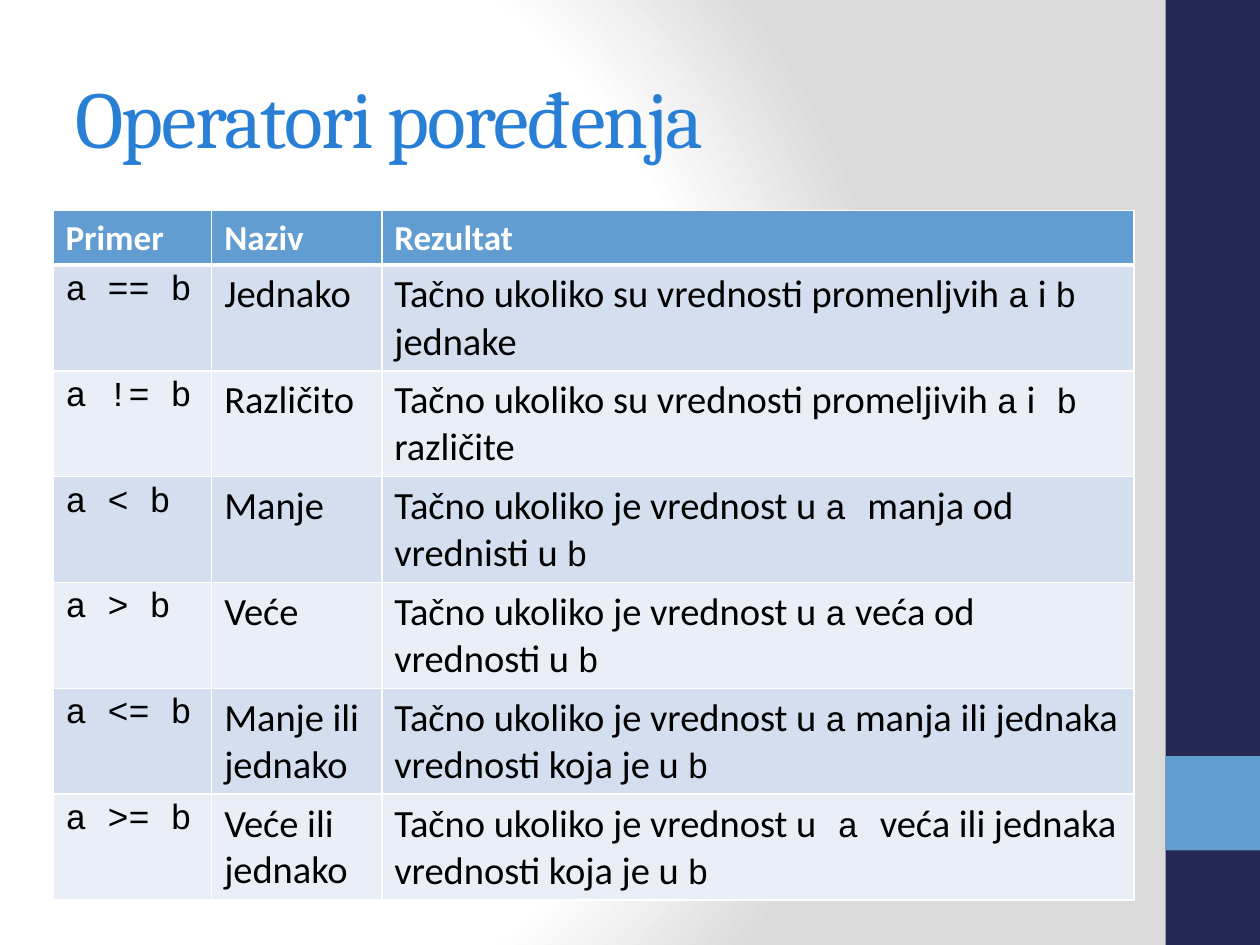
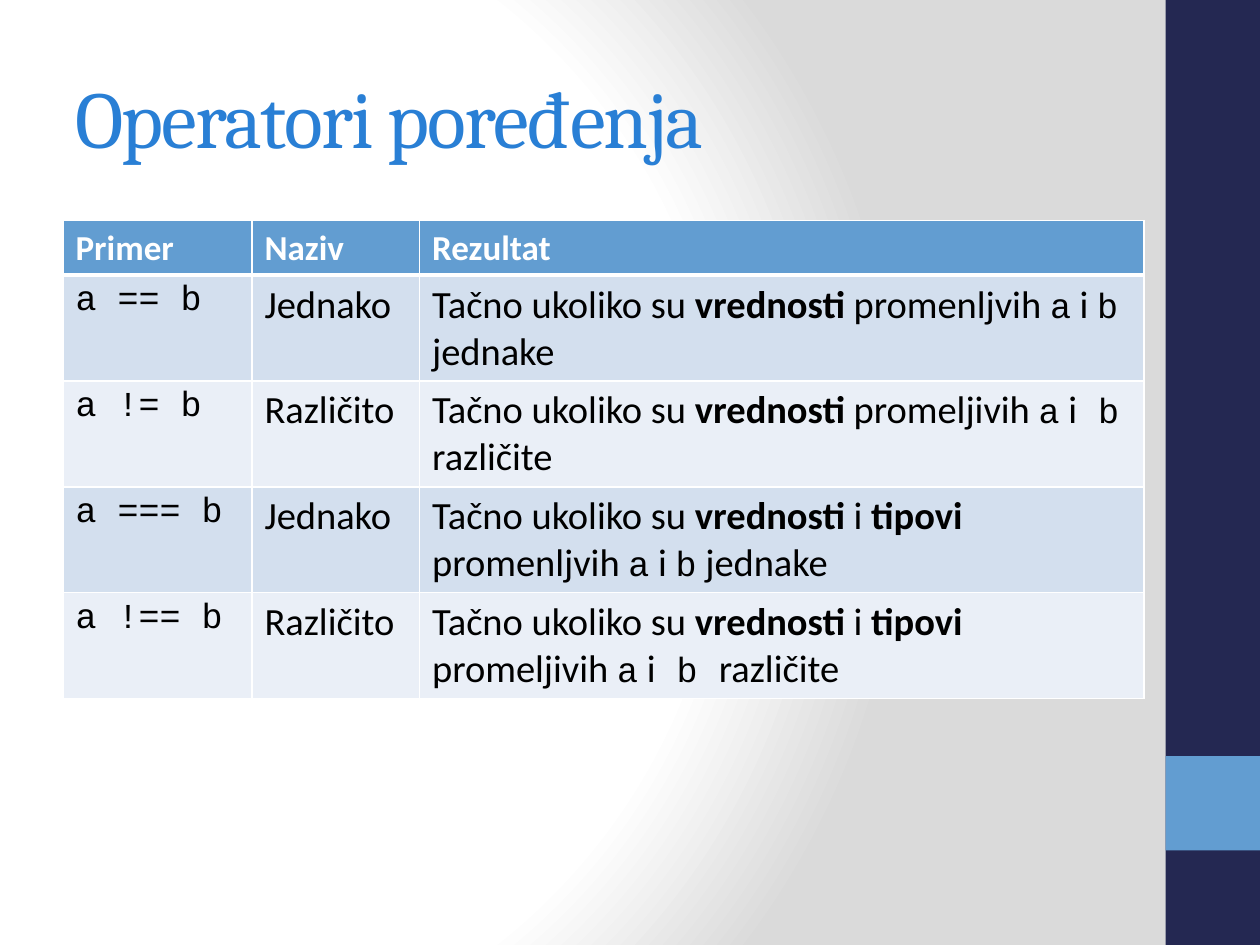
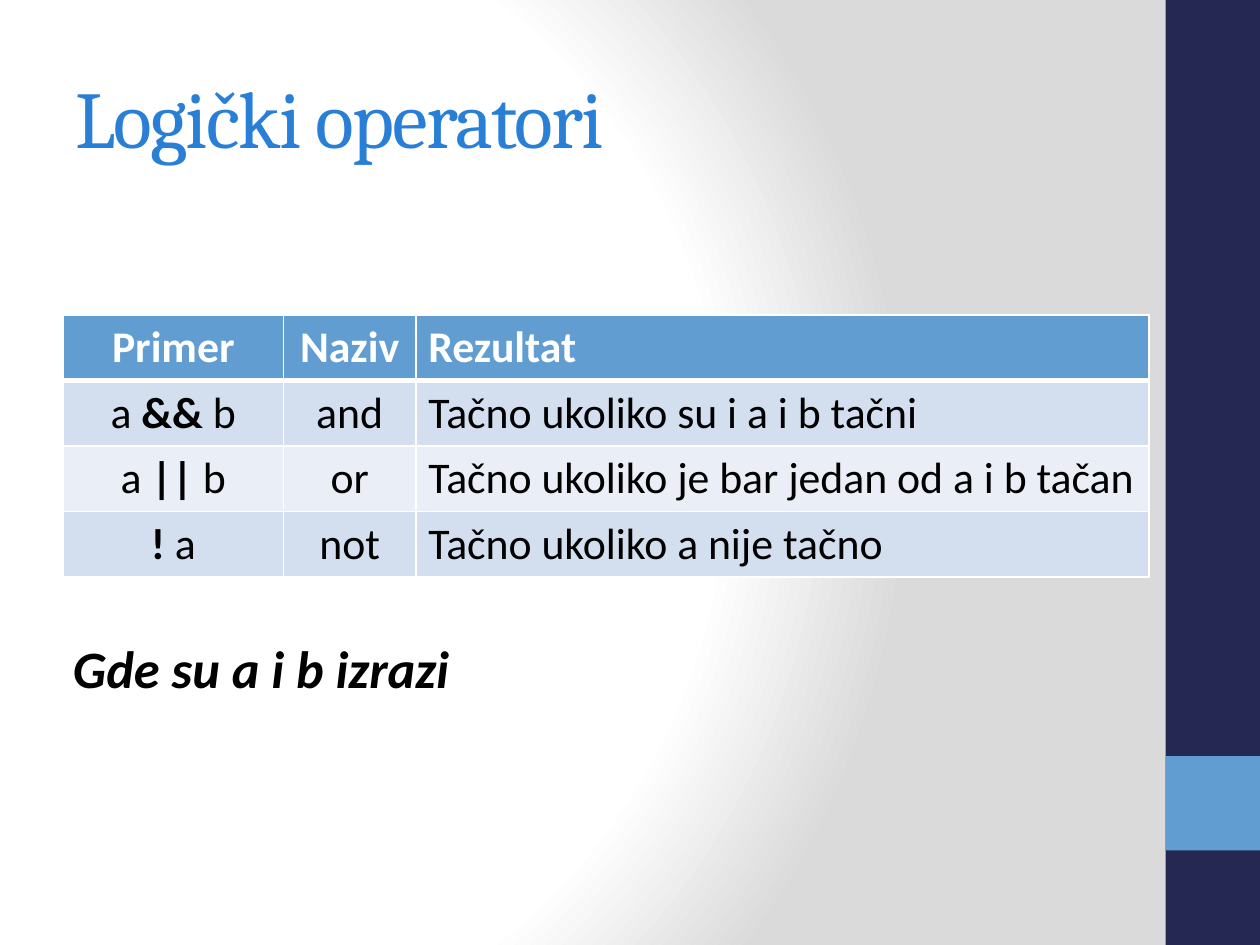
"""Builds three slides on comparison and logical operators."""
from pptx import Presentation, oxml, util as u
from pptx.dml.color import RGBColor
from pptx.enum import shapes, text

NS = 'xmlns:a="http://schemas.openxmlformats.org/drawingml/2006/main"'
PNS = 'xmlns:p="http://schemas.openxmlformats.org/presentationml/2006/main"'
NAVY, BLUE, AZURE = "242852", "629DD1", "297FD5"
WHITE, BLACK, GRAY = "FFFFFF", "000000", "DADADA"
STRIPES = "D3DFEE", "EAEFF7"
BANDS = [(0, 7.5, NAVY), (6, 0.75, BLUE)]
STOPS = [(0, WHITE), (75, WHITE), (100, GRAY)]
HEAD = "Primer", "Naziv", "Rezultat"

# Within cells, `...` marks code and *...* marks bold.
SLIDES = [
    dict(title="Operatori poređenja", at=(0.42, 1.67), cols=(1.26, 1.35, 5.97),
         tall=(0.43, 0.84), sizes=(20, 22), mid=0, rows=[
        ("`a == b`", "Jednako", "Tačno ukoliko su vrednosti promenljvih `a` i `b` jednake"),
        ("`a != b`", "Različito", "Tačno ukoliko su vrednosti promeljivih `a` i` b `različite"),
        ("`a < b`", "Manje", "Tačno ukoliko je vrednost u `a `manja od vrednisti u `b`"),
        ("`a > b`", "Veće", "Tačno ukoliko je vrednost u `a` veća od vrednosti u `b`"),
        ("`a <= b`", "Manje ili jednako",
         "Tačno ukoliko je vrednost u `a` manja ili jednaka vrednosti koja je u `b`"),
        ("`a >= b`", "Veće ili jednako",
         "Tačno ukoliko je vrednost u` a `veća ili jednaka vrednosti koja je u `b`")]),
    dict(title="Operatori poređenja", at=(0.5, 1.75), cols=(1.5, 1.33, 5.75),
         tall=(0.43, 0.84), sizes=(20, 22), mid=0, rows=[
        ("`a == b`", "Jednako", "Tačno ukoliko su *vrednosti *promenljvih `a` i `b` jednake"),
        ("`a != b`", "Različito", "Tačno ukoliko su *vrednosti *promeljivih `a` i` b `različite"),
        ("`a === b`", "Jednako",
         "Tačno ukoliko su *vrednosti *i *tipovi *promenljvih `a` i `b` jednake"),
        ("`a !== b`", "Različito",
         "Tačno ukoliko su *vrednosti *i *tipovi *promeljivih `a` i` b `različite")]),
    dict(title="Logički operatori", at=(0.5, 2.5), cols=(1.75, 1.05, 5.82),
         tall=(0.52, 0.52), sizes=(25, 25), mid=2, note="Gde su a i b izrazi", rows=[
        ("a *&&* b", "and", "Tačno ukoliko su i a i b tačni"),
        ("a *||* b", "or", "Tačno ukoliko je bar jedan od a i b tačan"),
        ("*! *a", "not", "Tačno ukoliko a nije tačno")]),
]


def paint(fill, color):
    fill.solid()
    fill.fore_color.rgb = RGBColor.from_string(color)


def write(para, words, size, color, face="Calibri", bold=False):
    run = para.add_run()
    run.text = words
    font = run.font
    font.size, font.name, font.bold = u.Pt(size), face, bold
    font.color.rgb = RGBColor.from_string(color)
    return run


def mark(para, words, size):
    for i, part in enumerate(words.split("`")):
        for j, bit in enumerate(part.split("*")):
            if bit and i % 2:
                write(para, bit, 20, BLACK, "Courier New")
            elif bit:
                write(para, bit, size, BLACK, bold=j % 2 == 1)


def edge(cell, row):
    props = cell._tc.get_or_add_tcPr()
    thick = {"T": 3 if row == 1 else 1, "B": 3 if row == 0 else 1}
    for side in "LRTB":
        props.append(oxml.parse_xml(
            f'<a:ln{side} {NS} w="{12700 * thick.get(side, 1)}"><a:solidFill>'
            f'<a:srgbClr val="{WHITE}"/></a:solidFill></a:ln{side}>'))


def base(slide, title):
    stops = "".join(f'<a:gs pos="{pos * 1000}"><a:srgbClr val="{color}"/></a:gs>'
                    for pos, color in STOPS)
    slide.element.cSld.insert(0, oxml.parse_xml(
        f'<p:bg {PNS} {NS}><p:bgPr><a:gradFill rotWithShape="1"><a:gsLst>{stops}</a:gsLst>'
        '<a:path path="circle"><a:fillToRect l="20000" t="50000" r="100000" b="50000"/>'
        '</a:path></a:gradFill><a:effectLst/></p:bgPr></p:bg>'))
    for top, high, color in BANDS:
        band = slide.shapes.add_shape(shapes.MSO_SHAPE.RECTANGLE, u.Inches(9.25),
                                      u.Inches(top), u.Inches(0.75), u.Inches(high))
        band.shadow.inherit = False
        paint(band.fill, color)
        band.line.fill.background()
    frame = label(slide, 0.5, 0.3, 8.33, 1.25)
    frame.word_wrap = True
    frame.vertical_anchor = text.MSO_ANCHOR.MIDDLE
    run = write(frame.paragraphs[0], title, 46, AZURE, "Cambria")
    run._r.get_or_add_rPr().set("spc", "-100")


def label(slide, *box):
    return slide.shapes.add_textbox(*map(u.Inches, box)).text_frame


def grid(slide, at, cols, tall, sizes, mid, rows):
    first, rest = tall
    box = *at, sum(cols), first + rest * len(rows)
    table = slide.shapes.add_table(len(rows) + 1, len(cols), *map(u.Inches, box)).table
    for col, wide in zip(table.columns, cols):
        col.width = u.Inches(wide)
    for r, line in enumerate([HEAD, *rows]):
        table.rows[r].height = u.Inches(rest if r else first)
        for c, words in enumerate(line):
            cell = table.cell(r, c)
            edge(cell, r)
            paint(cell.fill, STRIPES[(r - 1) % 2] if r else BLUE)
            para = cell.text_frame.paragraphs[0]
            if c < mid:
                para.alignment = text.PP_ALIGN.CENTER
            if r:
                mark(para, words, sizes[1])
            else:
                write(para, words, sizes[0], WHITE, bold=True)


def main():
    prs = Presentation()
    prs.slide_width, prs.slide_height = u.Inches(10), u.Inches(7.5)
    for item in SLIDES:
        slide = prs.slides.add_slide(prs.slide_layouts[6])
        base(slide, item["title"])
        grid(slide, *(item[key] for key in ("at", "cols", "tall", "sizes", "mid", "rows")))
        if "note" in item:
            frame = label(slide, 0.48, 5, 3.22, 0.61)
            frame.word_wrap = False
            run = write(frame.paragraphs[0], item["note"], 30, BLACK, bold=True)
            run.font.italic = True
    prs.save("out.pptx")


if __name__ == "__main__":
    main()
